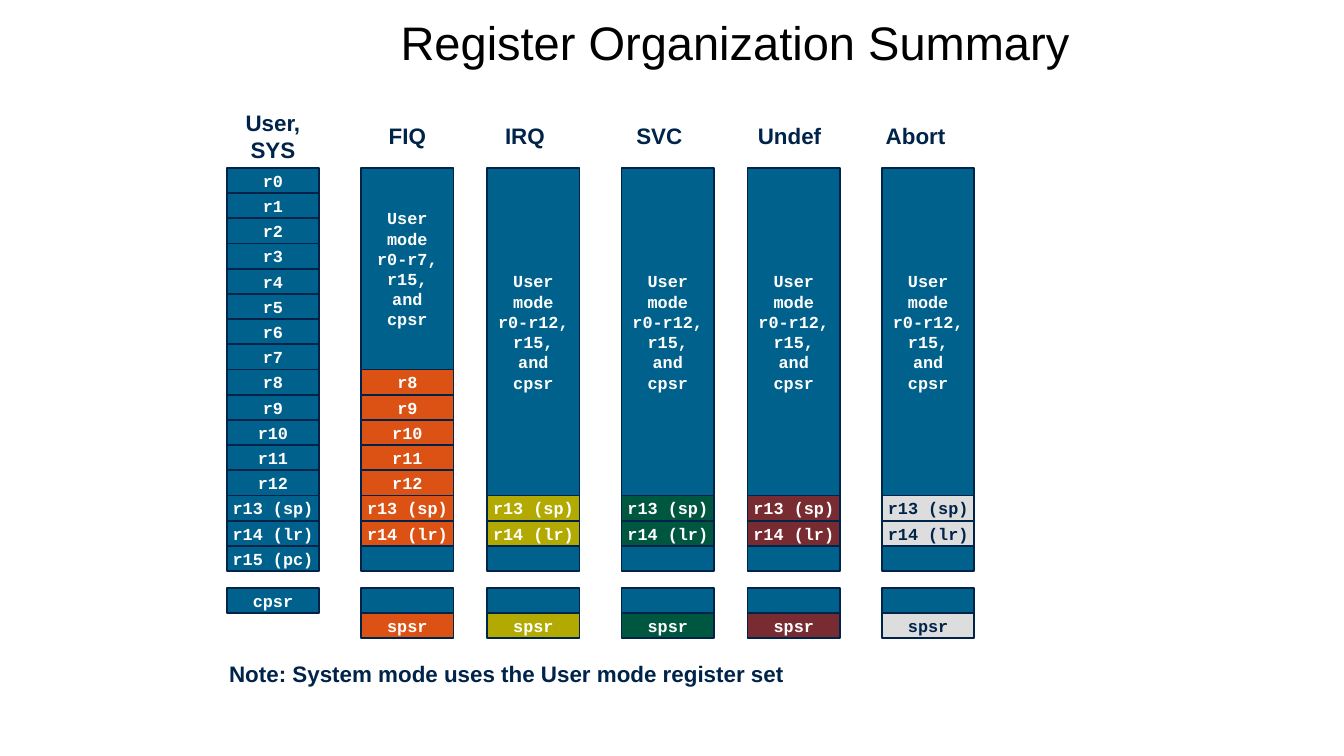
from copy import deepcopy
from dataclasses import dataclass

from pptx import Presentation
from pptx.dml.color import RGBColor
from pptx.enum.shapes import MSO_SHAPE
from pptx.enum.text import MSO_ANCHOR, MSO_AUTO_SIZE, PP_ALIGN
from pptx.oxml.ns import qn
from pptx.shapes.shapetree import GroupShapes, SlideShapes
from pptx.slide import Slide
from pptx.text.text import TextFrame
from pptx.util import Inches, Pt

RECTANGLE = MSO_SHAPE.RECTANGLE
TOP, MIDDLE = MSO_ANCHOR.TOP, MSO_ANCHOR.MIDDLE
LEFT, CENTER = PP_ALIGN.LEFT, PP_ALIGN.CENTER
FIT_SHAPE, NO_FIT = MSO_AUTO_SIZE.SHAPE_TO_FIT_TEXT, MSO_AUTO_SIZE.NONE


@dataclass(frozen=True)
class Theme:
    sans: str = "Arial"
    mono: str = "Courier New"
    title_size: float = 25.2
    label_size: float = 12
    register_size: float = 9
    black: str = "000000"
    white: str = "FFFFFF"
    navy: str = "00234A"
    shared: str = "00618C"
    fiq: str = "DB5214"
    irq: str = "B2AA00"
    svc: str = "005740"
    undef: str = "782B30"
    abort: str = "DDDDDD"


@dataclass(frozen=True)
class Mode:
    caption: str
    left: float
    caption_left: float
    caption_width: float
    fill: str
    ink: str
    first_banked: int


THEME = Theme()
GRID = 1 / 16
SLIDE_WIDTH = 10
SLIDE_HEIGHT = SLIDE_WIDTH * 9 / 16
CELL_WIDTH = 11 * GRID
ROW_HEIGHT = 3 * GRID
BANK_TOP = 20 * GRID
STATUS_TOP = 70 * GRID
CAPTION_MIDDLE = 1.01
LINE_HEIGHT = 0.2
PC_ROW = 15
REGISTERS = [f"r{number}" for number in range(13)] + ["r13 (sp)", "r14 (lr)", "r15 (pc)"]
USER_LEFT = 27 * GRID
MODES = [
    Mode("FIQ", 43 * GRID, 43 * GRID, 11 * GRID, THEME.fiq, THEME.white, 8),
    Mode("IRQ", 58 * GRID, 57 * GRID, 11 * GRID, THEME.irq, THEME.white, 13),
    Mode("SVC", 74 * GRID, 73 * GRID, 11 * GRID, THEME.svc, THEME.white, 13),
    Mode("Undef", 89 * GRID, 88 * GRID, 12 * GRID, THEME.undef, THEME.white, 13),
    Mode("Abort", 105 * GRID, 103 * GRID, 12 * GRID, THEME.abort, THEME.navy, 13),
]


def write(frame: TextFrame, text: str, font: str, size: float, ink: str,
          bold: bool = True, align: PP_ALIGN = CENTER) -> None:
    frame.text = text
    for paragraph in frame.paragraphs:
        paragraph.alignment = align
        for run in paragraph.runs:
            run.font.name = font
            run.font.size = Pt(size)
            run.font.bold = bold
            run.font.color.rgb = RGBColor.from_string(ink)
        for line_break in paragraph._p.findall(qn("a:br")):
            line_break.insert(0, deepcopy(paragraph.runs[0]._r.rPr))


def set_margins(frame: TextFrame, horizontal: float, vertical: float) -> None:
    frame.margin_left = frame.margin_right = Inches(horizontal)
    frame.margin_top = frame.margin_bottom = Inches(vertical)


def add_cell(shapes: SlideShapes | GroupShapes, left: float, top: float, text: str = "",
             fill: str = THEME.shared, ink: str = THEME.white, rows: int = 1) -> None:
    cell = shapes.add_shape(RECTANGLE, Inches(left), Inches(top),
                            Inches(CELL_WIDTH), Inches(rows * ROW_HEIGHT))
    cell.shadow.inherit = False
    cell.fill.solid()
    cell.fill.fore_color.rgb = RGBColor.from_string(fill)
    cell.line.color.rgb = RGBColor.from_string(THEME.navy)
    cell.line.width = Pt(1)
    if text:
        frame = cell.text_frame
        frame.word_wrap = False
        frame.vertical_anchor = MIDDLE
        set_margins(frame, 0.07, 0.04)
        write(frame, text, THEME.mono, THEME.register_size, ink)


def add_label(slide: Slide, text: str, left: float, middle: float, width: float,
              align: PP_ALIGN = CENTER) -> None:
    height = 0.08 + LINE_HEIGHT * len(text.splitlines())
    label = slide.shapes.add_textbox(Inches(left), Inches(middle - height / 2),
                                     Inches(width), Inches(height))
    frame = label.text_frame
    frame.word_wrap = True
    frame.auto_size = FIT_SHAPE
    frame.vertical_anchor = MIDDLE
    set_margins(frame, 0.08, 0.04)
    write(frame, text, THEME.sans, THEME.label_size, THEME.navy, align=align)


def row_top(row: int) -> float:
    return BANK_TOP + row * ROW_HEIGHT


def add_user_bank(slide: Slide) -> None:
    bank = slide.shapes.add_group_shape().shapes
    for row, register in enumerate(REGISTERS):
        add_cell(bank, USER_LEFT, row_top(row), register)
    add_cell(bank, USER_LEFT, STATUS_TOP, "cpsr")
    add_label(slide, "User,\nSYS", USER_LEFT, CAPTION_MIDDLE, CELL_WIDTH)


def add_mode_bank(slide: Slide, mode: Mode) -> None:
    shapes = slide.shapes
    shared_range = f"User\vmode\vr0-r{mode.first_banked - 1},\vr15,\vand\vcpsr"
    add_cell(shapes, mode.left, BANK_TOP, shared_range, rows=mode.first_banked)
    for row in range(mode.first_banked, PC_ROW):
        add_cell(shapes, mode.left, row_top(row), REGISTERS[row], mode.fill, mode.ink)
    add_cell(shapes, mode.left, row_top(PC_ROW))
    add_cell(shapes, mode.left, STATUS_TOP)
    add_cell(shapes, mode.left, STATUS_TOP + ROW_HEIGHT, "spsr", mode.fill, mode.ink)
    add_label(slide, mode.caption, mode.caption_left, CAPTION_MIDDLE, mode.caption_width)


def add_title(slide: Slide, text: str) -> None:
    title = slide.shapes.title
    title.left, title.top = Inches(2.88), Inches(0)
    title.width, title.height = Inches(5.59), Inches(0.81)
    title.fill.solid()
    title.fill.fore_color.rgb = RGBColor.from_string(THEME.white)
    frame = title.text_frame
    frame.auto_size = NO_FIT
    frame.vertical_anchor = TOP
    set_margins(frame, 0.1, 0.1)
    write(frame, text, THEME.sans, THEME.title_size, THEME.black, bold=False, align=LEFT)


def main() -> None:
    presentation = Presentation()
    presentation.slide_width = Inches(SLIDE_WIDTH)
    presentation.slide_height = Inches(SLIDE_HEIGHT)
    slide = presentation.slides.add_slide(presentation.slide_layouts[5])
    add_title(slide, "Register Organization Summary")
    add_user_bank(slide)
    for mode in MODES:
        add_mode_bank(slide, mode)
    add_label(slide, "Note: System mode uses the User mode register set",
              26 * GRID, 5.01, 91 * GRID, LEFT)
    presentation.save("out.pptx")


if __name__ == "__main__":
    main()
